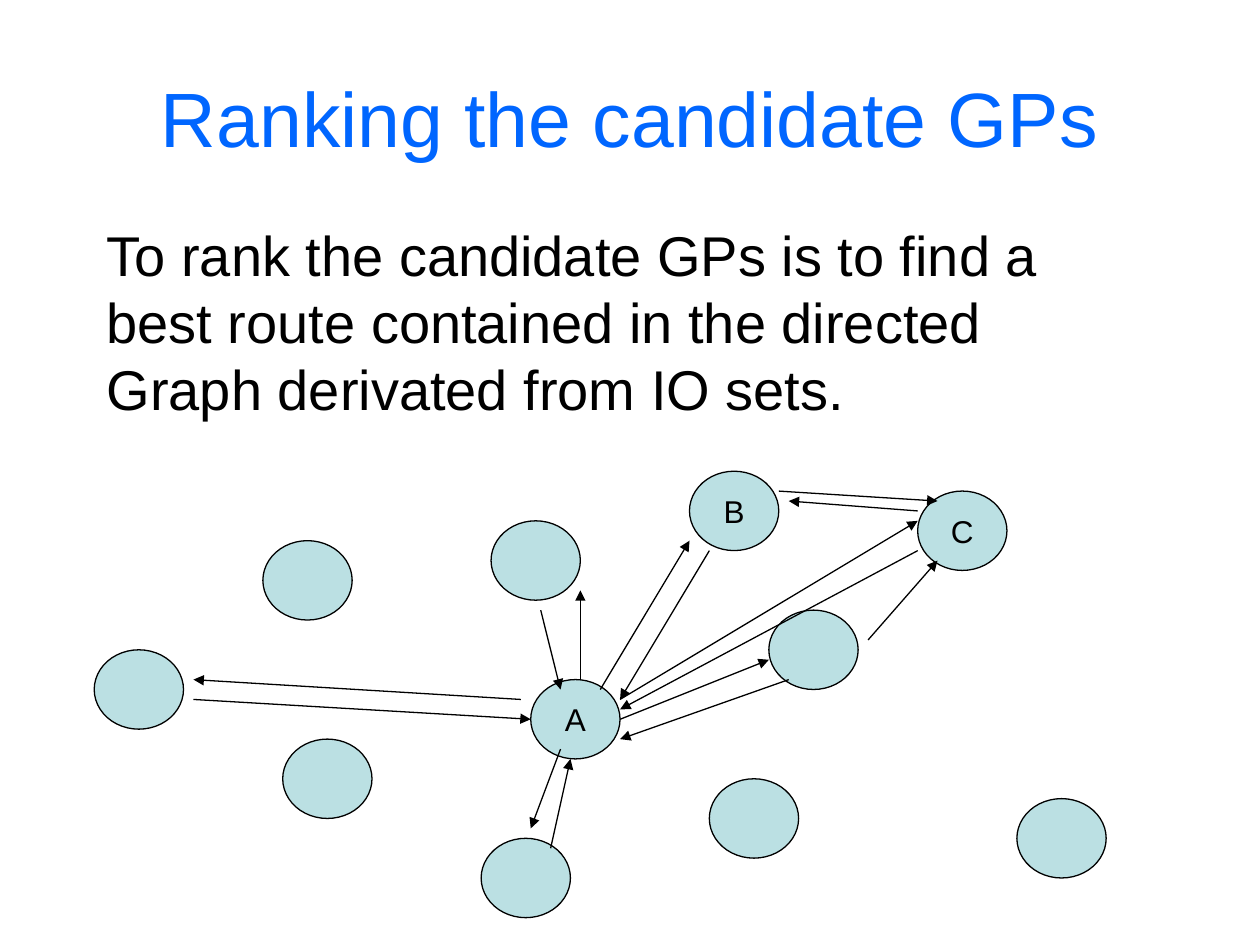
from typing import NamedTuple

from lxml.etree import SubElement
from pptx import Presentation
from pptx.dml.color import RGBColor
from pptx.enum.shapes import MSO_CONNECTOR as Conn, MSO_SHAPE as Shape
from pptx.enum.text import MSO_ANCHOR as Anchor, PP_ALIGN as Align
from pptx.oxml.ns import qn
from pptx.util import Cm, Pt

BLACK, BLUE, TEAL = "000000", "0066FF", "BBE0E3"
WIDE, HIGH = 1.8, 1.6  # node size in cm


class Node(NamedTuple):
    x: float
    y: float
    name: str = ""


class Edge(NamedTuple):
    x1: float
    y1: float
    x2: float
    y2: float


NODES = [
    Node(9.9, 10.5), Node(5.7, 14.9), Node(14.3, 15.7), Node(15.5, 12.3),
    Node(5.3, 10.9), Node(10.7, 13.7, "A"), Node(13.9, 9.5, "B"),
    Node(1.9, 13.1), Node(9.7, 16.9), Node(20.5, 16.1), Node(18.5, 9.9, "C"),
]

EDGES = [
    # A and B
    Edge(12.1, 13.9, 13.9, 10.9), Edge(14.3, 11.1, 12.5, 14.1),
    # A and the node on its right
    Edge(12.5, 14.5, 15.5, 13.3), Edge(15.9, 13.7, 12.5, 14.9),
    # Into and out of C
    Edge(12.5, 14.1, 18.5, 10.5), Edge(18.5, 10.3, 15.9, 10.1),
    Edge(15.7, 9.9, 18.9, 10.1), Edge(18.5, 11.1, 12.5, 14.3),
    Edge(17.5, 12.9, 18.9, 11.3),
    # A and the nodes below, left and above
    Edge(11.3, 15.1, 10.7, 16.7), Edge(11.1, 17.1, 11.5, 15.3),
    Edge(10.5, 14.1, 3.9, 13.7), Edge(3.9, 14.1, 10.7, 14.5),
    Edge(11.7, 13.7, 11.7, 11.9), Edge(10.9, 12.3, 11.3, 13.9),
]


def rgb(code: str) -> RGBColor:
    return RGBColor.from_string(code)


def write(frame, text: str, size: float, color: str, align) -> None:
    frame.text = text
    para = frame.paragraphs[0]
    para.alignment = align
    para.font.name = "Arial"
    para.font.size = Pt(size)
    para.font.color.rgb = rgb(color)


def draw_node(slide, node: Node) -> None:
    oval = slide.shapes.add_shape(
        Shape.OVAL, Cm(node.x), Cm(node.y), Cm(WIDE), Cm(HIGH))
    oval.shadow.inherit = False
    oval.fill.solid()
    oval.fill.fore_color.rgb = rgb(TEAL)
    oval.line.color.rgb = rgb(BLACK)
    oval.line.width = Pt(0.75)
    if node.name:
        frame = oval.text_frame
        frame.word_wrap = False
        frame.vertical_anchor = Anchor.MIDDLE
        write(frame, node.name, 18, BLACK, Align.CENTER)


def draw_edge(slide, edge: Edge) -> None:
    line = slide.shapes.add_connector(Conn.STRAIGHT, *map(Cm, edge))
    line.line.color.rgb = rgb(BLACK)
    line.line.width = Pt(0.75)
    props = line._element.spPr
    SubElement(props.find(qn("a:ln")), qn("a:tailEnd"), type="triangle")
    SubElement(props, qn("a:effectLst"))


def main() -> None:
    deck = Presentation()
    deck.slide_width, deck.slide_height = Cm(25.4), Cm(19.05)
    slide = deck.slides.add_slide(deck.slide_layouts[5])

    # Graph
    for node in NODES:
        draw_node(slide, node)
    for edge in EDGES:
        draw_edge(slide, edge)

    # Title
    title = slide.shapes.title
    title.left, title.top = Cm(1.27), Cm(0.76)
    title.width, title.height = Cm(22.86), Cm(3.18)
    title.text_frame.vertical_anchor = Anchor.MIDDLE
    write(title.text_frame, "Ranking the candidate GPs", 44, BLUE,
          Align.CENTER)

    # Statement
    body = slide.shapes.add_textbox(Cm(1.9), Cm(4.32), Cm(20.2), Cm(4.32))
    frame = body.text_frame
    frame.word_wrap = True
    write(frame, "To rank the candidate GPs is to find a best route contained "
          "in the directed Graph derivated from IO sets.", 32, BLACK,
          Align.LEFT)
    frame.paragraphs[0].line_spacing = Pt(38.4)

    deck.save("out.pptx")


if __name__ == "__main__":
    main()
